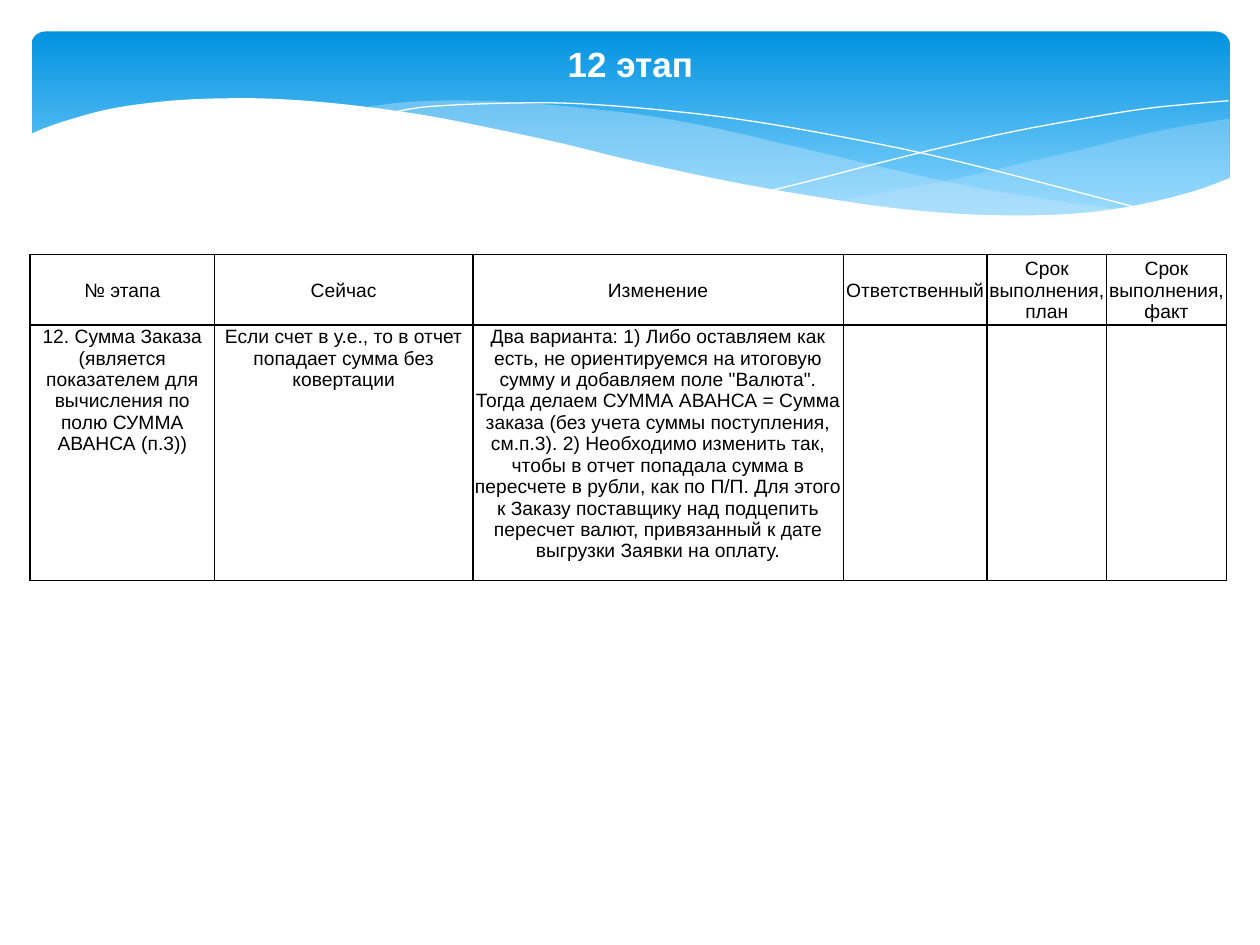
from lxml.etree import SubElement
from pptx import Presentation
from pptx.dml.color import RGBColor
from pptx.enum.shapes import MSO_SHAPE as Shape
from pptx.enum.text import MSO_ANCHOR as Anchor, PP_ALIGN as Align
from pptx.oxml.ns import qn
from pptx.util import Pt

SKY = RGBColor(0x02, 0x93, 0xE0)
PALE_SKY = RGBColor(0x83, 0xD3, 0xFE)
MIST = RGBColor(0xC6, 0xE7, 0xFC)
WHITE = RGBColor(0xFF, 0xFF, 0xFF)
BLACK = RGBColor(0, 0, 0)

TITLE_FORMAT = {"name": "Arial", "size": Pt(20), "bold": True}
CELL_FORMAT = {"name": "Arial", "size": Pt(11), "bold": False}
CELL_MARGINS = {"margin_left": Pt(0.7), "margin_top": Pt(0.7),
                "margin_right": Pt(0.7), "margin_bottom": 0}

RIGHT_WAVE = [
    [(702.7, 67.7), (673.2, 72.7), (652.3, 77), (620, 85), (579.6, 94.3),
     (542.2, 103), (508.3, 109.4), (476, 115.2)],
    [(476, 115.2), (507.6, 118.8), (536.4, 121.7), (562.3, 123.8),
     (586, 124), (615, 122.4), (640, 119.5), (663, 115.2),
     (683.3, 109.4), (702.7, 101.5)],
]
LONG_WAVE = [
    [(643, 120.2), (602.6, 114.5), (558, 107.3), (508.3, 96.5), (453, 83.5),
     (409.7, 73.4), (370, 66.2), (334.8, 61.9), (302.4, 59), (273.6, 57.6),
     (247.7, 57.6), (225.4, 59), (206, 61.9)],
    [(206, 61.9), (246.2, 67.4), (275.8, 72.8), (323.3, 83.5), (381.6, 97.2),
     (432.7, 108), (478.8, 115.9), (519.8, 121), (556.6, 123.8),
     (589, 124.6), (617, 123.1), (643, 120.2)],
]
FALLING_LINE = [
    [(222.5, 64.8), (236.2, 62), (254.2, 60.3), (288.7, 59), (324, 59),
     (367.2, 61.9), (419, 67.7), (478.8, 77.8), (547.2, 92.2), (653, 119.5)],
]
RISING_LINE = [
    [(441.4, 108.7), (470.2, 101.5), (500.4, 93.6), (538.6, 84.2),
     (580.3, 74.9), (623.5, 67), (655.2, 62), (684.7, 59), (702, 57.6)],
]
WHITE_WAVE = [
    [(703.4, 101.5), (684, 108.7), (662.4, 114.5), (638.6, 119.2),
     (612, 122.2), (582.5, 123.1), (548, 122.2), (509.8, 118.8),
     (466.6, 112.5), (417, 103.7), (362.2, 92), (321.8, 82.1),
     (281.5, 73.4), (244.8, 66.2), (210.2, 61.2), (180, 58),
     (152, 56.3), (127.4, 56.2), (105, 57), (85.7, 58.8), (68.4, 61.2),
     (54.7, 64.1), (37.4, 69.1), (26, 73), (16.6, 77)],
    [(16.6, 161.3), (703.4, 161.3)],
]

COLUMN_WIDTHS = [105.4, 147.6, 211.7, 82.1, 68.4, 68.4]
ROW_HEIGHTS = [40.2, 145.8]
STAGES = [
    ["№ этапа", "Сейчас", "Изменение", "Ответственный",
     "Срок выполнения, план", "Срок выполнения, факт"],
    ["12. Сумма Заказа (является показателем для вычисления по полю "
     "СУММА АВАНСА (п.3))",
     "Если счет в у.е., то в отчет попадает сумма без ковертации",
     "Два варианта: 1) Либо оставляем как есть, не ориентируемся на итоговую "
     "сумму и добавляем поле \"Валюта\". Тогда делаем СУММА АВАНСА = Сумма "
     "заказа (без учета суммы поступления, см.п.3). 2) Необходимо изменить "
     "так, чтобы в отчет попадала сумма в пересчете в рубли, как по П/П. Для "
     "этого к Заказу поставщику над подцепить пересчет валют, привязанный к "
     "дате выгрузки Заявки на оплату.",
     "", "", ""],
]


def apply_format(target, values):
    for name, value in values.items():
        setattr(target, name, value)


def write(frame, text, font_format, color):
    paragraph = frame.paragraphs[0]
    paragraph.alignment = Align.CENTER
    run = paragraph.add_run()
    run.text = text
    apply_format(run.font, font_format)
    run.font.color.rgb = color


def smooth(knots, steps=5):
    padded = [knots[0], *knots, knots[-1]]
    points = [knots[0]]
    for a, b, c, d in zip(padded, padded[1:], padded[2:], padded[3:]):
        for step in range(1, steps + 1):
            t = step / steps
            points.append(tuple(
                q + t * (r - p) / 2
                + t * t * (2 * p - 5 * q + 4 * r - s) / 2
                + t ** 3 * (3 * q - p - 3 * r + s) / 2
                for p, q, r, s in zip(a, b, c, d)))
    return points


def add_outline(slide, curves, close):
    points = [(Pt(x), Pt(y)) for curve in curves for x, y in smooth(curve)]
    builder = slide.shapes.build_freeform(*points[0])
    builder.add_line_segments(points[1:], close=close)
    outline = builder.convert_to_shape()
    outline.shadow.inherit = False
    return outline


def add_wave(slide, curves, color, opacity=100):
    wave = add_outline(slide, curves, True)
    wave.line.fill.background()
    wave.fill.solid()
    wave.fill.fore_color.rgb = color
    if opacity < 100:
        tint = wave.fill._xPr.find(".//" + qn("a:srgbClr"))
        SubElement(tint, qn("a:alpha"), val=str(opacity * 1000))


def add_hairline(slide, curves):
    hairline = add_outline(slide, curves, False)
    hairline.fill.background()
    hairline.line.color.rgb = WHITE
    hairline.line.width = Pt(0)


def add_band(slide):
    band = slide.shapes.add_shape(
        Shape.ROUNDED_RECTANGLE, Pt(18), Pt(18), Pt(684.7), Pt(112.3))
    band.adjustments[0] = 0.07
    band.shadow.inherit = False
    band.line.fill.background()
    band.fill.gradient()
    band.fill.gradient_angle = 270
    for stop, color, position in zip(
            band.fill.gradient_stops, (SKY, PALE_SKY), (0, 0.9)):
        stop.color.rgb = color
        stop.position = position


def add_title(slide, text):
    title = slide.shapes.add_textbox(Pt(20), Pt(21), Pt(680.4), Pt(31.5))
    title.text_frame.word_wrap = True
    write(title.text_frame, text, TITLE_FORMAT, WHITE)


def add_borders(cell):
    properties = cell._tc.get_or_add_tcPr()
    for position, side in enumerate(("lnL", "lnR", "lnT", "lnB")):
        border = properties.makeelement(qn("a:" + side), {"w": str(Pt(1))})
        paint = SubElement(border, qn("a:solidFill"))
        SubElement(paint, qn("a:srgbClr"), val=str(BLACK))
        properties.insert(position, border)


def add_stage_table(slide):
    table = slide.shapes.add_table(
        len(STAGES), len(COLUMN_WIDTHS), Pt(17.2), Pt(145.4),
        Pt(sum(COLUMN_WIDTHS)), Pt(sum(ROW_HEIGHTS))).table
    apply_format(table, {"first_row": False, "horz_banding": False})
    for column, width in zip(table.columns, COLUMN_WIDTHS):
        column.width = Pt(width)
    for row, height, texts, anchor in zip(
            table.rows, ROW_HEIGHTS, STAGES, (Anchor.MIDDLE, Anchor.TOP)):
        row.height = Pt(height)
        for cell, text in zip(row.cells, texts):
            apply_format(cell, CELL_MARGINS)
            cell.vertical_anchor = anchor
            cell.fill.background()
            add_borders(cell)
            if text:
                write(cell.text_frame, text, CELL_FORMAT, BLACK)


def main():
    deck = Presentation()
    deck.slide_width, deck.slide_height = Pt(720), Pt(540)
    slide = deck.slides.add_slide(deck.slide_layouts[6])
    add_band(slide)
    add_wave(slide, RIGHT_WAVE, MIST, 29)
    add_wave(slide, LONG_WAVE, MIST, 40)
    add_hairline(slide, FALLING_LINE)
    add_hairline(slide, RISING_LINE)
    add_wave(slide, WHITE_WAVE, WHITE)
    add_title(slide, "12 этап")
    add_stage_table(slide)
    deck.save("out.pptx")


if __name__ == "__main__":
    main()
